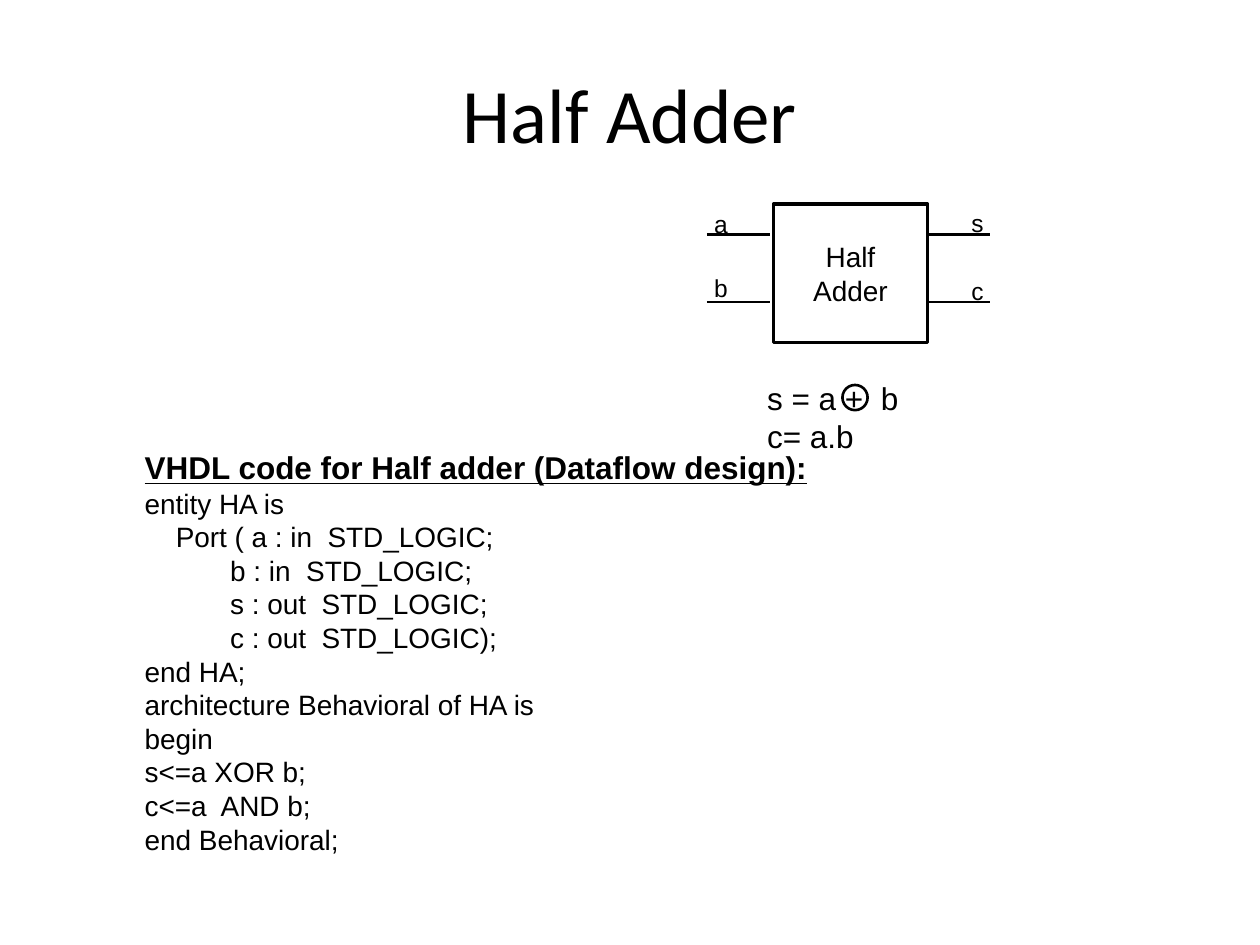
import pptx
import pptx.util
import pptx.dml.color
import pptx.enum.shapes
import pptx.enum.text
import pptx.oxml.ns
import lxml.etree

Pt = pptx.util.Pt
SHAPE = pptx.enum.shapes.MSO_SHAPE
ALIGN = pptx.enum.text.PP_ALIGN
ANCHOR = pptx.enum.text.MSO_ANCHOR
INK = "000000"

HEADING = "Half Adder"
PORTS = [("a", 401, 115.9), ("b", 401, 152.6), ("s", 548, 115.2), ("c", 548, 154.1)]
WIRE_STARTS, WIRE_LENGTH = (404, 530), 36
WIRE_LEVELS = (134, 172.8)
EQUATIONS = ["s = a +  b", "c= a.b"]
CODE_TITLE = "VHDL code for Half adder (Dataflow design):"
CODE = [
    (0, "entity HA is"),
    (17.8, "Port ( a : in  STD_LOGIC;"),
    (48.9, "b : in  STD_LOGIC;"),
    (48.9, "s : out  STD_LOGIC;"),
    (48.9, "c : out  STD_LOGIC);"),
    (0, "end HA;"),
    (0, "architecture Behavioral of HA is"),
    (0, "begin"),
    (0, "s<=a XOR b;"),
    (0, "c<=a  AND b;"),
    (0, "end Behavioral;"),
]


def color(hex_code):
    return pptx.dml.color.RGBColor.from_string(hex_code)


def write(paragraph, text, size, font="Arial", strong=False, indent=0):
    run = paragraph.add_run()
    run.text = text
    run.font.name, run.font.size = font, Pt(size)
    run.font.bold = run.font.underline = strong
    run.font.color.rgb = color(INK)
    if indent:
        paragraph._p.get_or_add_pPr().set("marL", str(Pt(indent)))


def add_text(parent, box, lines):
    frame = parent.add_textbox(*map(Pt, box)).text_frame
    frame.word_wrap = True
    for number, line in enumerate(lines):
        paragraph = frame.add_paragraph() if number else frame.paragraphs[0]
        write(paragraph, **line)


def add_outline(parent, kind, box, width):
    outline = parent.add_shape(kind, *map(Pt, box))
    outline.shadow.inherit = False
    outline.fill.background()
    outline.line.color.rgb = color(INK)
    outline.line.width = Pt(width)
    return outline


def add_wire(parent, x, y):
    wire = parent.add_connector(pptx.enum.shapes.MSO_CONNECTOR.STRAIGHT,
                                Pt(x), Pt(y), Pt(x + WIRE_LENGTH), Pt(y))
    wire.line.color.rgb = color(INK)
    wire.line.width = Pt(1.25)
    lxml.etree.SubElement(wire._element.spPr, pptx.oxml.ns.qn("a:effectLst"))


def main():
    deck = pptx.Presentation()
    deck.slide_width, deck.slide_height = Pt(720), Pt(540)
    slide = deck.slides.add_slide(deck.slide_layouts[5])

    heading = slide.shapes.title
    heading.left, heading.top, heading.width, heading.height = map(Pt, (36, 19.5, 648, 90))
    heading.text_frame.vertical_anchor = ANCHOR.MIDDLE
    heading.text_frame.paragraphs[0].alignment = ALIGN.CENTER
    write(heading.text_frame.paragraphs[0], HEADING, 44, "Calibri")

    circuit = slide.shapes.add_group_shape().shapes
    adder = add_outline(circuit, SHAPE.RECTANGLE, (442, 116.6, 88, 79.2), 2)
    adder.text_frame.word_wrap = True
    adder.text_frame.vertical_anchor = ANCHOR.MIDDLE
    adder.text_frame.paragraphs[0].alignment = ALIGN.CENTER
    write(adder.text_frame.paragraphs[0], HEADING, 16)
    for level in WIRE_LEVELS:
        for start in WIRE_STARTS:
            add_wire(circuit, start, level)
    for port, left, top in PORTS:
        add_text(circuit, (left, top, 35.3, 24.5), [dict(text=port, size=14)])

    logic = slide.shapes.add_group_shape().shapes
    add_text(logic, (431.3, 213.1, 200.9, 51.1),
             [dict(text=equation, size=18) for equation in EQUATIONS])
    add_outline(logic, SHAPE.OVAL, (481.4, 220, 14.4, 14.4), 1.5)

    code_lines = [dict(text=CODE_TITLE, size=18, strong=True)]
    code_lines += [dict(text=text, size=16, indent=indent) for indent, text in CODE]
    add_text(slide.shapes, (75.6, 252.7, 412.6, 242.6), code_lines)

    deck.save("out.pptx")


if __name__ == "__main__":
    main()
